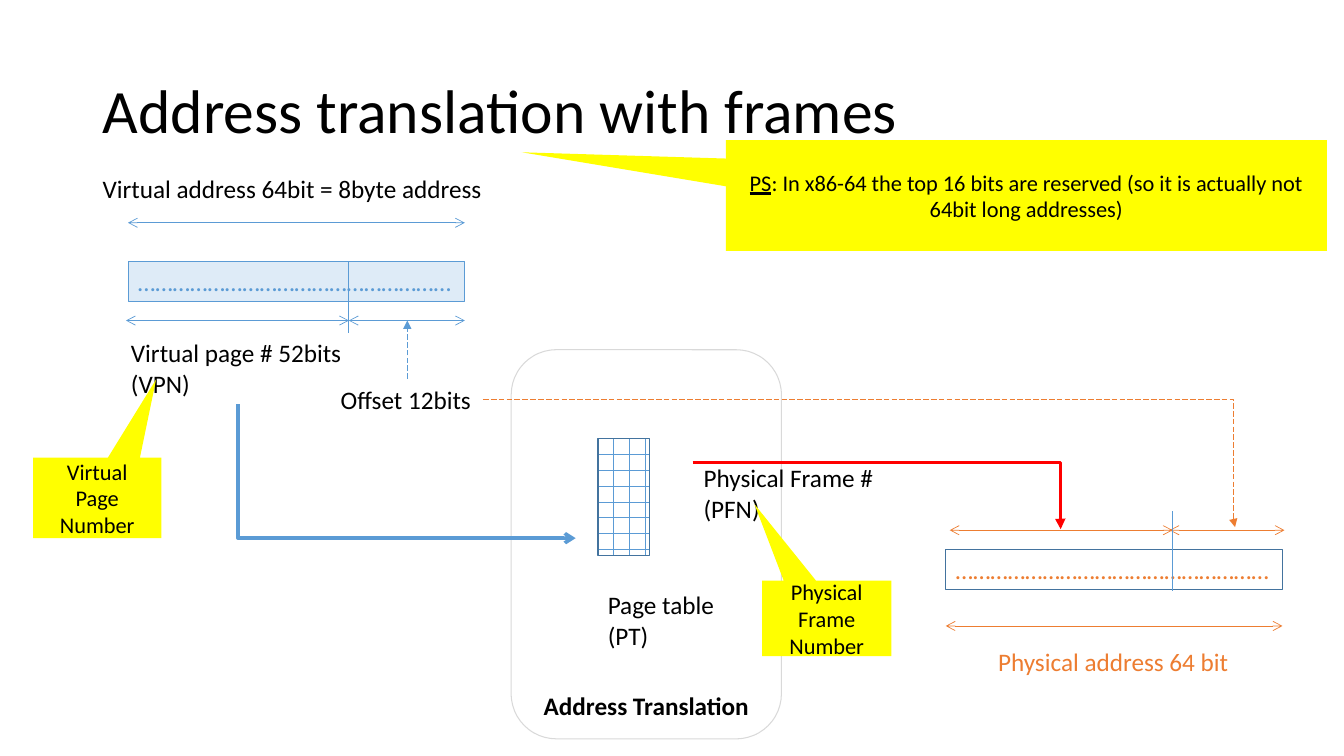
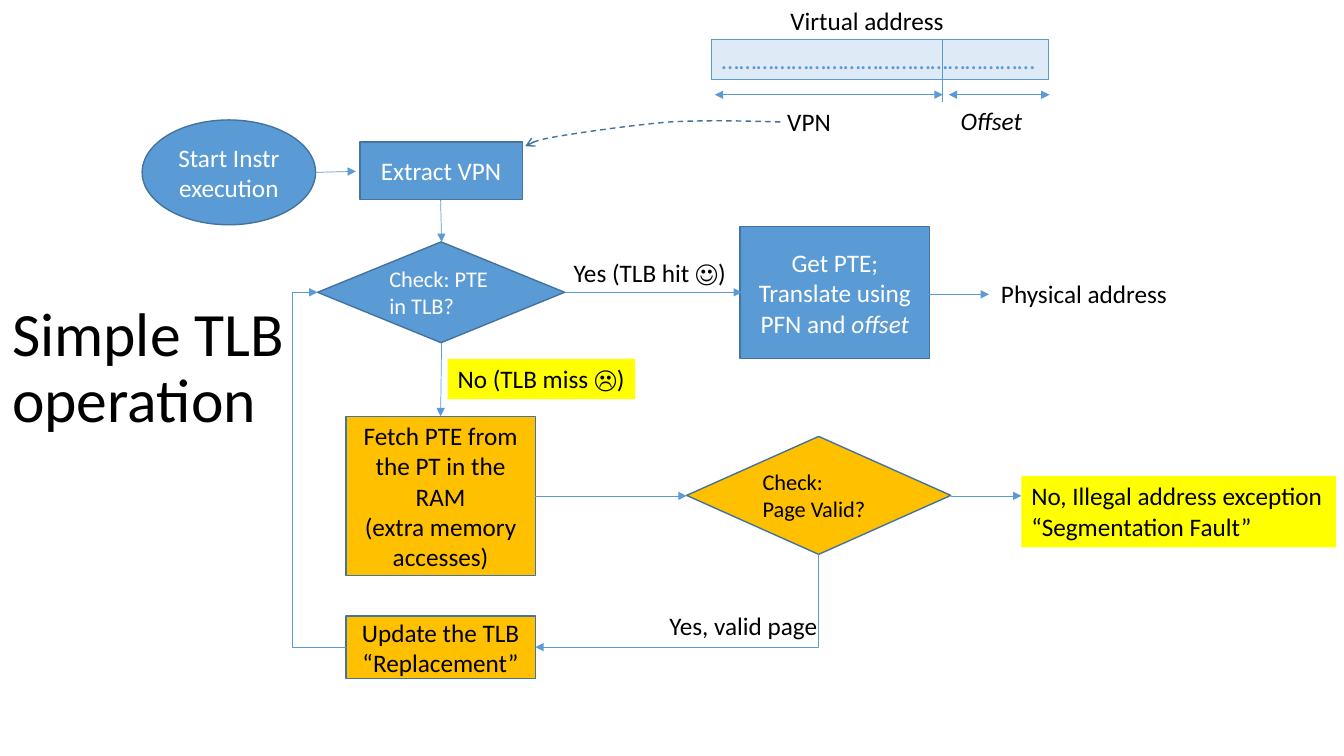
"""Build two slides on address translation and TLB operation."""
from lxml.etree import SubElement as Sub
from pptx import Presentation
from pptx.dml.color import RGBColor as RGB
from pptx.enum.dml import MSO_LINE as DASH, MSO_PATTERN as PAT
from pptx.enum.shapes import MSO_CONNECTOR as LINK, MSO_SHAPE as KIND
from pptx.enum.text import MSO_ANCHOR as ANCHOR, MSO_AUTO_SIZE as FIT, PP_ALIGN as ALIGN
from pptx.oxml.ns import qn
from pptx.util import Inches, Pt

HUE = {
    "black": "000000", "white": "FFFFFF", "blue": "5B9BD5", "navy": "43739E",
    "pale": "DEEBF7", "orange": "ED7D31", "gold": "FFC000", "yellow": "FFFF00",
    "red": "FF0000", "gray": "D9D9D9",
}
FONT = "Calibri"
DOTS = "…" * 18


def pen(shape, hue, width=0.5, dash=None, head=None, tail=None):
    """Style a line, its arrowheads and its lack of shadow."""
    shape.line.color.rgb = RGB.from_string(HUE[hue])
    shape.line.width = Pt(width)
    if dash:
        shape.line.dash_style = dash
    props = shape.element.spPr
    edge = props.find(qn("a:ln"))
    for tag, tip in (("a:headEnd", head), ("a:tailEnd", tail)):
        if tip:
            Sub(edge, qn(tag)).set("type", tip)
    Sub(props, qn("a:effectLst"))


def box(slide, text, spot, kind=None, fill=None, edge=None, width=1,
        hue="black", size=18, align=ALIGN.CENTER, anchor=ANCHOR.MIDDLE):
    """Add a preset shape, or an unwrapped text box when no kind is given."""
    place = [Inches(n) for n in spot]
    if kind:
        shape = slide.shapes.add_shape(kind, *place)
        shape.shadow.inherit = False
    else:
        shape = slide.shapes.add_textbox(*place)
        align, anchor = ALIGN.LEFT, ANCHOR.TOP
    if fill:
        shape.fill.solid()
        shape.fill.fore_color.rgb = RGB.from_string(HUE[fill])
    else:
        shape.fill.background()
    if edge:
        shape.line.color.rgb = RGB.from_string(HUE[edge])
        shape.line.width = Pt(width)
    else:
        shape.line.fill.background()
    frame = shape.text_frame
    frame.text = text
    frame.word_wrap = bool(kind)
    frame.auto_size = FIT.NONE if kind else FIT.SHAPE_TO_FIT_TEXT
    frame.vertical_anchor = anchor
    for para in frame.paragraphs:
        para.alignment = align
        para.font.name = FONT
        para.font.size = Pt(size)
        para.font.color.rgb = RGB.from_string(HUE[hue])
    return shape


deck = Presentation()
deck.slide_width, deck.slide_height = Inches(13.33), Inches(7.5)

pages = []
for text, spot in (
    ("Address translation with frames", (0.92, 0.4, 11.5, 1.45)),
    ("Simple TLB operation", (0.02, 2.25, 3.08, 2.83)),
):
    page = deck.slides.add_slide(deck.slide_layouts[5])
    title = page.shapes.title
    title.left, title.top, title.width, title.height = [Inches(n) for n in spot]
    title.text_frame.text = text
    title.text_frame.word_wrap = True
    title.text_frame.vertical_anchor = ANCHOR.MIDDLE
    para = title.text_frame.paragraphs[0]
    para.alignment = ALIGN.LEFT
    para.line_spacing = 0.9
    para.font.name = FONT
    para.font.size = Pt(44)
    para.font.color.rgb = RGB.from_string(HUE["black"])
    pages.append(page)
frames, tlb = pages

for page, x, y, fill, edge, hue in (
    (frames, 1.27, 2.59, "pale", "blue", "blue"),
    (frames, 9.38, 5.45, None, "navy", "orange"),
    (tlb, 7.06, 0.39, "pale", "blue", "blue"),
):
    box(page, DOTS, (x, y, 3.34, 0.4), fill=fill, edge=edge, width=0.75, hue=hue)

unit = box(frames, "Address Translation", (5.07, 3.47, 2.68, 3.86),
           KIND.ROUNDED_RECTANGLE, edge="gray", width=0.75, anchor=ANCHOR.BOTTOM)
unit.text_frame.paragraphs[0].font.bold = True

table = box(frames, "", (5.93, 4.35, 0.51, 1.16), KIND.RECTANGLE, edge="navy")
table.fill.patterned()
table.fill.pattern = PAT.DOTTED_GRID
table.fill.fore_color.rgb = RGB.from_string(HUE["blue"])
table.fill.back_color.rgb = RGB.from_string(HUE["white"])

for page, text, spot, fill, hue in (
    (frames, "Virtual address 64bit = 8byte address", (0.92, 1.67, 4.1, 0.4), None, "black"),
    (frames, "Offset 12bits", (3.28, 3.76, 1.51, 0.4), None, "black"),
    (frames, "Virtual page # 52bits\n(VPN)", (1.2, 3.3, 2.31, 0.71), None, "black"),
    (frames, "Page table\v(PT)", (5.93, 5.8, 1.27, 0.71), None, "black"),
    (frames, "Physical Frame #\n(PFN)", (6.88, 4.54, 1.9, 0.71), None, "black"),
    (frames, "Physical address 64 bit", (9.8, 6.36, 2.51, 0.4), None, "orange"),
    (tlb, "Virtual address", (7.74, 0, 1.74, 0.4), None, "black"),
    (tlb, "VPN", (7.71, 1.01, 0.64, 0.4), None, "black"),
    (tlb, "Physical address", (9.83, 2.71, 1.86, 0.4), None, "black"),
    (tlb, "Yes (TLB hit ☺)", (5.59, 2.5, 1.71, 0.4), None, "black"),
    (tlb, "No (TLB miss ☹)", (4.44, 3.56, 1.86, 0.4), "yellow", "black"),
    (tlb, "Yes, valid page", (6.54, 6.01, 1.69, 0.4), None, "black"),
    (tlb, "No, Illegal address exception\v“Segmentation Fault”",
     (10.13, 4.72, 3.12, 0.71), "yellow", "black"),
):
    box(page, text, spot, fill=fill, hue=hue)
part = box(tlb, "Offset", (9.43, 1, 0.82, 0.4))
part.text_frame.paragraphs[0].font.italic = True

notes = []
for text, spot, tip in (
    ("PS", (7.2, 1.39, 5.96, 1.1), (-0.84, -0.39)),
    ("Virtual Page Number", (0.33, 4.54, 1.27, 0.8), (0.46, -1.47)),
    ("Physical Frame Number", (7.56, 5.76, 1.28, 0.75), (-0.56, -1.51)),
):
    note = box(frames, text, spot, KIND.RECTANGULAR_CALLOUT, "yellow", size=16)
    note.adjustments[0], note.adjustments[1] = tip
    notes.append(note)
para = notes[0].text_frame.paragraphs[0]
para.runs[0].font.underline = True
para.add_run().text = (": In x86-64 the top 16 bits are reserved "
                       "(so it is actually not 64bit long addresses)")

for text, spot, kind, fill, hue in (
    ("Start Instr execution", (1.41, 1.19, 1.72, 1.04), KIND.OVAL, "blue", "white"),
    ("Extract VPN", (3.57, 1.41, 1.61, 0.57), KIND.RECTANGLE, "blue", "white"),
    ("Fetch PTE from the PT in the RAM\n(extra memory accesses)",
     (3.43, 4.13, 1.88, 1.58), KIND.RECTANGLE, "gold", "black"),
    ("Update the TLB “Replacement”", (3.43, 6.11, 1.88, 0.62), KIND.RECTANGLE, "gold", "black"),
):
    box(tlb, text, spot, kind, fill, "navy", hue=hue)
for text, spot, fill, hue in (
    ("Check: PTE in TLB?", (3.15, 2.4, 2.45, 1), "blue", "white"),
    ("Check:\vPage Valid?", (6.81, 4.33, 2.62, 1.17), "gold", "black"),
):
    box(tlb, text, spot, KIND.DIAMOND, fill, "navy", hue=hue, size=16, align=ALIGN.LEFT)
hit = box(tlb, "Get PTE;\nTranslate using PFN and ", (7.34, 2.25, 1.88, 1.31),
          KIND.RECTANGLE, "blue", "navy", hue="white")
run = hit.text_frame.paragraphs[1].add_run()
run.text = "offset"
run.font.italic = True

for page, ends, hue, head, tail in (
    (frames, (1.27, 2.21, 4.61, 2.21), "blue", "arrow", "arrow"),
    (frames, (4.61, 3.18, 3.46, 3.18), "blue", "arrow", "arrow"),
    (frames, (3.46, 3.18, 1.25, 3.18), "blue", "arrow", "arrow"),
    (frames, (9.38, 6.21, 12.72, 6.21), "orange", "arrow", "arrow"),
    (frames, (11.63, 5.26, 9.42, 5.26), "orange", "arrow", "arrow"),
    (frames, (12.74, 5.26, 11.6, 5.26), "orange", "arrow", "arrow"),
    (frames, (3.46, 3.3, 3.46, 2.59), "blue", None, None),
    (frames, (11.63, 5.07, 11.63, 5.86), "blue", None, None),
    (tlb, (9.35, 1.01, 9.35, 0.39), "blue", None, None),
    (tlb, (7.09, 0.94, 9.35, 0.94), "blue", "triangle", "triangle"),
    (tlb, (9.41, 0.94, 10.41, 0.94), "blue", "triangle", "triangle"),
    (tlb, (3.13, 1.71, 3.53, 1.7), "blue", None, "triangle"),
    (tlb, (4.37, 1.98, 4.38, 2.4), "blue", None, "triangle"),
    (tlb, (5.6, 2.9, 7.36, 2.9), "blue", None, "triangle"),
    (tlb, (9.21, 2.92, 9.81, 2.92), "blue", None, "triangle"),
    (tlb, (4.38, 3.4, 4.37, 4.13), "blue", None, "triangle"),
    (tlb, (5.31, 4.92, 6.81, 4.92), "blue", None, "triangle"),
    (tlb, (9.43, 4.92, 10.13, 4.92), "blue", None, "triangle"),
):
    wire = page.shapes.add_connector(LINK.STRAIGHT, *[Inches(n) for n in ends])
    pen(wire, hue, head=head, tail=tail)
wire = frames.shapes.add_connector(LINK.STRAIGHT, *[Inches(n) for n in (4.04, 3.76, 4.04, 3.18)])
pen(wire, "blue", dash=DASH.LONG_DASH, tail="triangle")

for page, ends, bend, hue, width, dash, head, tail in (
    (frames, (5.71, 5.34, 2.36, 4.01), 100000, "blue", 2.5, None, "arrow", None),
    (frames, (4.79, 3.96, 12.25, 5.23), 99800, "orange", 0.5, DASH.LONG_DASH, None, "triangle"),
    (frames, (6.87, 4.59, 10.52, 5.25), 99900, "red", 2.5, None, None, "triangle"),
    (tlb, (5.31, 6.42, 8.12, 5.5), 100000, "blue", 0.5, None, "triangle", None),
    (tlb, (3.43, 6.42, 3.15, 2.9), 187900, "blue", 0.5, None, None, "triangle"),
):
    wire = page.shapes.add_connector(LINK.ELBOW, *[Inches(n) for n in ends])
    guide = Sub(wire.element.spPr.find(qn("a:prstGeom")).find(qn("a:avLst")), qn("a:gd"))
    guide.set("name", "adj1")
    guide.set("fmla", f"val {bend}")
    pen(wire, hue, width, dash, head, tail)

knots = [(7.74, 1.21), (7.37, 1.2), (7.01, 1.19), (6.64, 1.21), (6.28, 1.24),
         (5.79, 1.31), (5.55, 1.35), (5.31, 1.39), (5.26, 1.42), (5.21, 1.45)]
dots = []
for i in range(0, 9, 3):
    for step in range(1, 9):
        t = step / 8
        mix = ((1 - t) ** 3, 3 * t * (1 - t) ** 2, 3 * t * t * (1 - t), t ** 3)
        dots.append([Inches(sum(m * k[axis] for m, k in zip(mix, knots[i:i + 4])))
                     for axis in (0, 1)])
trace = tlb.shapes.build_freeform(*[Inches(n) for n in knots[0]])
trace.add_line_segments(dots, close=False)
curve = trace.convert_to_shape()
curve.fill.background()
pen(curve, "navy", 1, DASH.DASH, tail="arrow")

deck.save("out.pptx")
